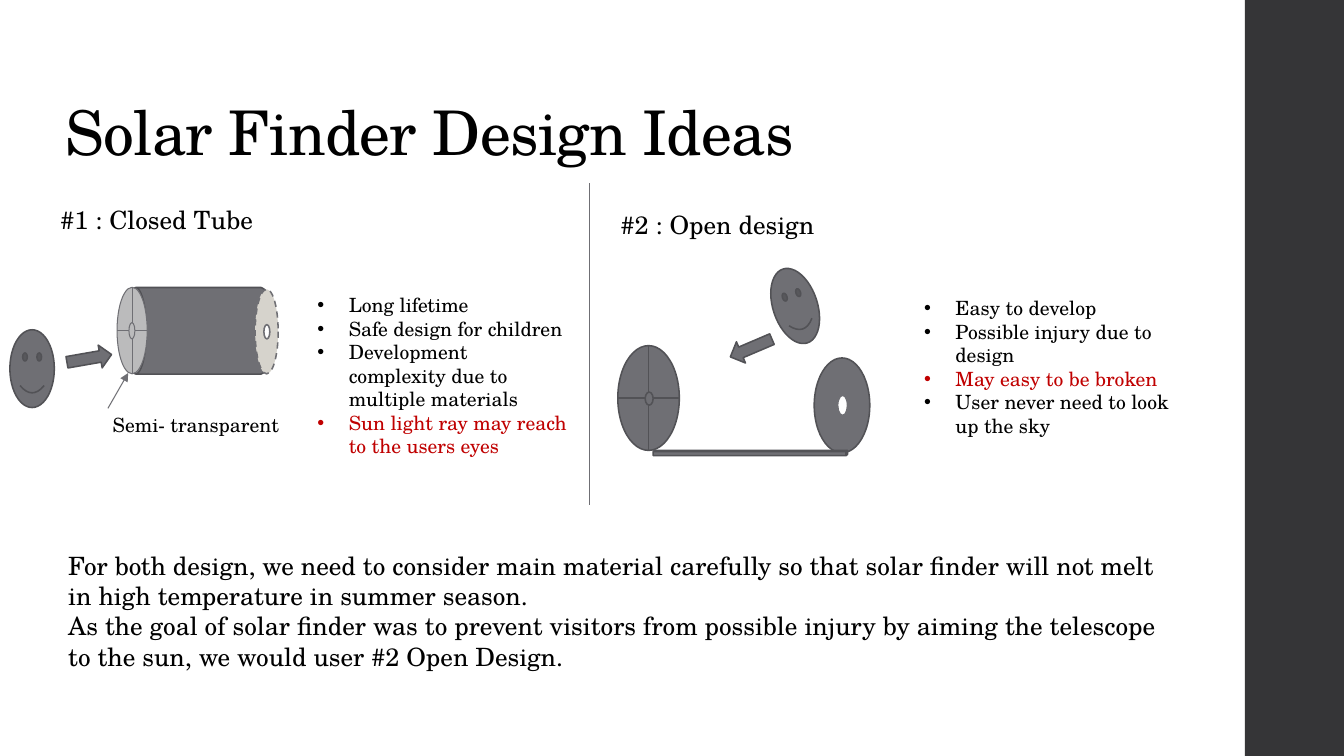
from dataclasses import dataclass
from typing import Optional

from lxml import etree
from pptx import Presentation
from pptx.dml.color import RGBColor
from pptx.enum import dml, shapes, text
from pptx.oxml import ns
from pptx.util import Cm, Pt

FONT = "TeX Gyre Schola"
COLORS = {
    "paper": "FFFFFF",
    "ink": "000000",
    "warning": "C00000",
    "sidebar": "353537",
    "body": "6F6F74",
    "edge": "525256",
    "lens": "BBBBBC",
    "cap": "D6D3CC",
}
KIND = shapes.MSO_SHAPE


@dataclass
class Part:
    """A preset shape; lengths in centimetres."""
    kind: KIND
    left: float
    top: float
    width: float
    height: float
    fill: str = "body"
    edge: Optional[str] = "edge"
    weight: float = 1.1
    rotation: float = 0
    dashed: bool = False


@dataclass
class Line:
    start: tuple[float, float]
    end: tuple[float, float]
    arrow: bool = False


@dataclass
class Words:
    """A text box; lines listed in warnings are coloured red."""
    left: float
    top: float
    width: float
    height: float
    lines: list[str]
    size: float = 18
    bulleted: bool = False
    warnings: tuple[str, ...] = ()


def color(name: str) -> RGBColor:
    return RGBColor.from_string(COLORS[name])


def draw_part(slide, part: Part) -> None:
    shape = slide.shapes.add_shape(
        part.kind, Cm(part.left), Cm(part.top), Cm(part.width), Cm(part.height))
    shape.shadow.inherit = False
    shape.rotation = part.rotation
    shape.fill.solid()
    shape.fill.fore_color.rgb = color(part.fill)
    if part.edge is None:
        shape.line.fill.background()
        return
    shape.line.color.rgb = color(part.edge)
    shape.line.width = Pt(part.weight)
    if part.dashed:
        shape.line.dash_style = dml.MSO_LINE.DASH


def draw_line(slide, line: Line) -> None:
    connector = slide.shapes.add_connector(
        shapes.MSO_CONNECTOR.STRAIGHT, *map(Cm, line.start + line.end))
    connector.line.color.rgb = color("body")
    connector.line.width = Pt(0.75)
    if line.arrow:
        outline = connector.line._get_or_add_ln()
        etree.SubElement(outline, ns.qn("a:tailEnd"), type="triangle")
    etree.SubElement(connector._element.spPr, ns.qn("a:effectLst"))


def add_bullet(paragraph) -> None:
    properties = paragraph._p.get_or_add_pPr()
    properties.set("marL", str(Cm(0.79)))
    properties.set("indent", str(-Cm(0.79)))
    etree.SubElement(properties, ns.qn("a:buFont"), typeface="Arial")
    etree.SubElement(properties, ns.qn("a:buChar"), char="•")


def draw_words(slide, words: Words):
    box = slide.shapes.add_textbox(
        Cm(words.left), Cm(words.top), Cm(words.width), Cm(words.height))
    frame = box.text_frame
    frame.word_wrap = True
    frame.text = "\n".join(words.lines)
    for paragraph in frame.paragraphs:
        if words.bulleted:
            add_bullet(paragraph)
        for run in paragraph.runs:
            run.font.name = FONT
            run.font.size = Pt(words.size)
            run.font.color.rgb = color("warning" if run.text in words.warnings else "ink")
    return frame


def draw_title(slide) -> None:
    frame = draw_words(
        slide, Words(1.4, 0.71, 26.92, 3.68, ["Solar Finder Design Ideas"], 44))
    frame.vertical_anchor = text.MSO_ANCHOR.BOTTOM
    title = frame.paragraphs[0]
    title.line_spacing = 0.9
    title.runs[0]._r.get_or_add_rPr().set("spc", "-50")


PARTS = [
    Part(KIND.RECTANGLE, 31.37, 0, 2.5, 19.05, "sidebar", None),
    # Open design
    Part(KIND.FLOWCHART_CONNECTOR, 20.52, 9.02, 1.4, 2.39),
    Part(KIND.FLOWCHART_OR, 15.57, 8.71, 1.55, 2.64),
    Part(KIND.FLOWCHART_CONNECTOR, 16.26, 9.88, 0.2, 0.33),
    Part(KIND.CUBE, 16.46, 11.35, 4.9, 0.13),
    Part(KIND.FLOWCHART_CONNECTOR, 21.11, 9.96, 0.25, 0.51, "paper", "body"),
    # Closed tube
    Part(KIND.CAN, 3.91, 6.48, 2.18, 3.71, rotation=270),
    Part(KIND.OVAL, 6.43, 7.29, 0.58, 2.13, "cap", "body", rotation=180, dashed=True),
    Part(KIND.FLOWCHART_CONNECTOR, 6.65, 8.18, 0.15, 0.36, "paper", "body", rotation=180),
    Part(KIND.FLOWCHART_OR, 2.95, 7.24, 0.76, 2.18, "lens", "body", 0.75),
    Part(KIND.FLOWCHART_CONNECTOR, 3.25, 8.13, 0.15, 0.41, "lens", "body", 0.75),
    # Users and their lines of sight
    Part(KIND.SMILEY_FACE, 0.25, 8.31, 1.12, 1.96),
    Part(KIND.DOWN_ARROW, 1.96, 8.46, 0.58, 1.14, rotation=260.1),
    Part(KIND.SMILEY_FACE, 19.48, 6.73, 1.12, 1.96, rotation=341.6),
    Part(KIND.DOWN_ARROW, 18.64, 8.2, 0.58, 1.14, rotation=66.9),
]

LINES = [
    Line((14.86, 4.62), (14.86, 12.73)),
    Line((2.72, 10.29), (3.23, 9.4), arrow=True),
]

WORDS = [
    Words(1.27, 5.03, 6.53, 0.84, ["#1 : Closed Tube"]),
    Words(15.39, 5.16, 8.18, 1.02, ["#2 : Open design"]),
    Words(2.59, 10.29, 5.38, 0.86, ["Semi- transparent"], 14),
    Words(7.75, 7.26, 6.83, 4.45, [
        "Long lifetime",
        "Safe design for children",
        "Development complexity due to multiple materials",
        "Sun light ray may reach to the users eyes",
    ], 14, True, ("Sun light ray may reach to the users eyes",)),
    Words(23.04, 7.34, 6.83, 3.84, [
        "Easy to develop",
        "Possible injury due to design",
        "May easy to be broken",
        "User never need to look up the sky",
    ], 14, True, ("May easy to be broken",)),
    Words(1.47, 13.74, 28.19, 3.33, [
        "For both design, we need to consider main material carefully so that "
        "solar finder will not melt in high temperature in summer season.",
        "As the goal of solar finder was to prevent visitors from possible injury "
        "by aiming the telescope to the sun, we would user #2 Open Design.",
    ]),
]


def main() -> None:
    deck = Presentation()
    deck.slide_width, deck.slide_height = Cm(33.87), Cm(19.05)
    slide = deck.slides.add_slide(deck.slide_layouts[6])
    draw_title(slide)
    for part in PARTS:
        draw_part(slide, part)
    for line in LINES:
        draw_line(slide, line)
    for words in WORDS:
        draw_words(slide, words)
    deck.save("out.pptx")


if __name__ == "__main__":
    main()
